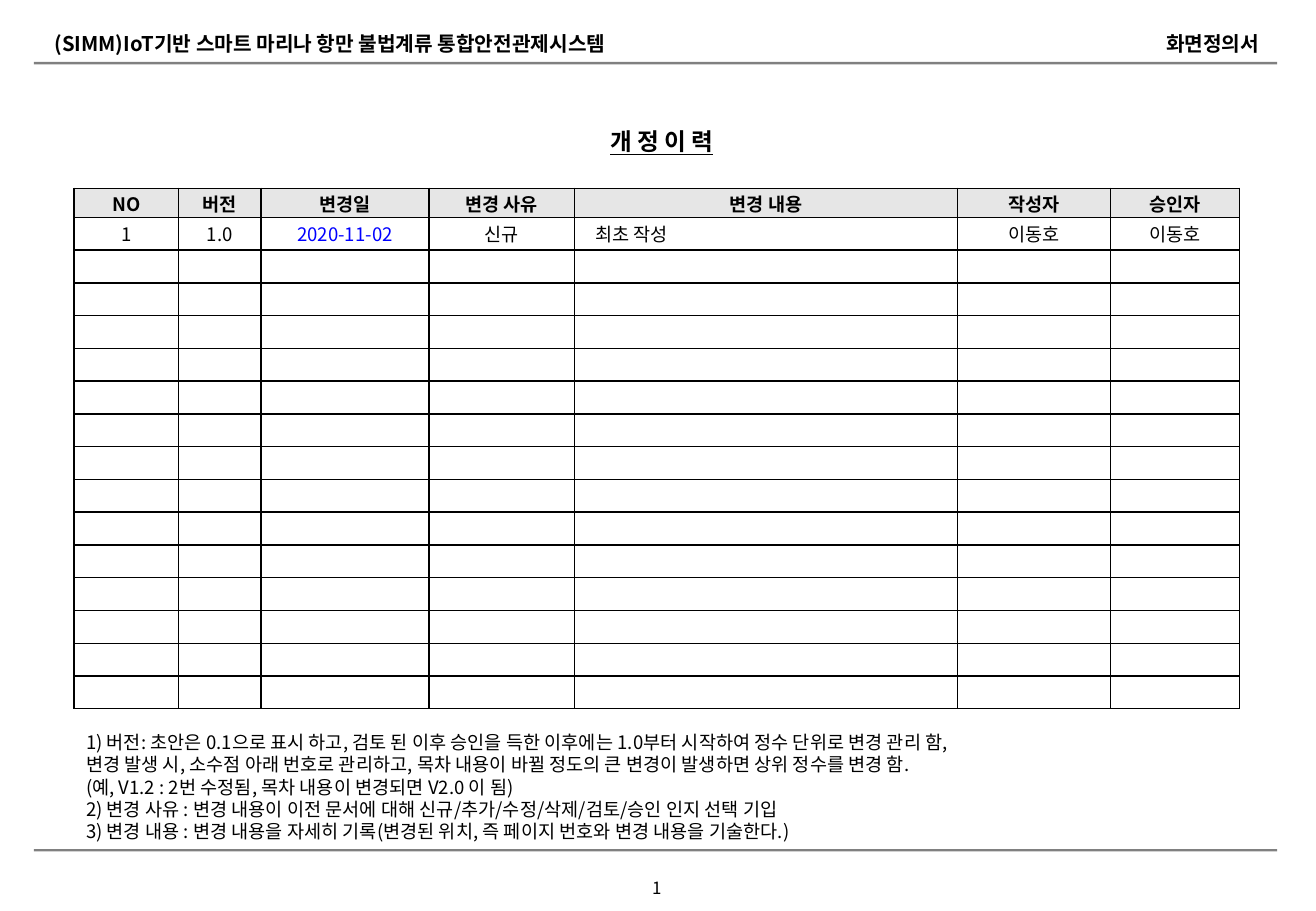
from lxml import etree
from pptx import Presentation
from pptx import util as u
from pptx.dml.color import RGBColor
from pptx.enum import shapes, text
from pptx.oxml.ns import qn

PX = 9144  # 100 px to the inch
THEME = {
    "font": "Noto Sans CJK KR",
    "ink": RGBColor(0x00, 0x00, 0x00),
    "date": RGBColor(0x00, 0x00, 0xFF),
    "rule": RGBColor(0x80, 0x80, 0x80),
    "head": RGBColor(0xE6, 0xE6, 0xE6),
    "title": u.Pt(14), "header": u.Pt(12), "body": u.Pt(11), "page": u.Pt(10),
}
LEFT, CENTER, RIGHT = text.PP_ALIGN.LEFT, text.PP_ALIGN.CENTER, text.PP_ALIGN.RIGHT
MIDDLE, TOP = text.MSO_ANCHOR.MIDDLE, text.MSO_ANCHOR.TOP


def write(paragraph, words, align, size, color=THEME["ink"], **extra):
    paragraph.alignment = align
    run = paragraph.add_run()
    run.text = words
    for name, value in {"name": THEME["font"], "size": size, **extra}.items():
        setattr(run.font, name, value)
    run.font.color.rgb = color
    etree.SubElement(run.font._element, qn("a:ea"), typeface=THEME["font"])


def add_border(cell):
    """Draw a thin solid line on all four sides of a table cell."""
    properties = cell._tc.get_or_add_tcPr()
    for index, side in enumerate(("lnL", "lnR", "lnT", "lnB")):
        line = etree.Element(qn(f"a:{side}"), w=str(u.Pt(1)))
        fill = etree.SubElement(line, qn("a:solidFill"))
        etree.SubElement(fill, qn("a:srgbClr"), val=str(THEME["ink"]))
        properties.insert(index, line)


presentation = Presentation()
presentation.slide_width, presentation.slide_height = 1083 * PX, 750 * PX
slide = presentation.slides.add_slide(presentation.slide_layouts[6])

# Rules under the header and above the footer
for top in (51, 699):
    rule = slide.shapes.add_shape(
        shapes.MSO_SHAPE.RECTANGLE, 28 * PX, top * PX, 1023 * PX, 2 * PX)
    rule.shadow.inherit = False
    rule.fill.solid()
    rule.fill.fore_color.rgb = THEME["rule"]
    rule.line.fill.background()

# Header, title, notes and page number
NOTES = (
    "1) 버전: 초안은 0.1으로 표시 하고, 검토 된 이후 승인을 득한 이후에는 1.0부터 시작하여 정수 단위로 변경 관리 함,",
    "변경 발생 시, 소수점 아래 번호로 관리하고, 목차 내용이 바뀔 정도의 큰 변경이 발생하면 상위 정수를 변경 함.",
    "(예, V1.2 : 2번 수정됨, 목차 내용이 변경되면 V2.0 이 됨)",
    "2) 변경 사유 : 변경 내용이 이전 문서에 대해 신규/추가/수정/삭제/검토/승인 인지 선택 기입",
    "3) 변경 내용 : 변경 내용을 자세히 기록(변경된 위치, 즉 페이지 번호와 변경 내용을 기술한다.)",
)
BOLD = {"bold": True}
TEXTS = (
    ((35, 21, 664, 30), ("(SIMM)IoT기반 스마트 마리나 항만 불법계류 통합안전관제시스템",),
     LEFT, TOP, "header", BOLD),
    ((534, 21, 512, 30), ("화면정의서",), RIGHT, TOP, "header", BOLD),
    ((450, 100, 189, 33), ("개 정 이 력",), CENTER, MIDDLE, "title",
     {"bold": True, "underline": True}),
    ((61, 597, 961, 103), NOTES, LEFT, TOP, "body", {}),
    ((520, 718, 41, 27), ("1",), CENTER, TOP, "page", {}),
)
for box, lines, align, anchor, size, extra in TEXTS:
    frame = slide.shapes.add_textbox(*(length * PX for length in box)).text_frame
    frame.word_wrap = True
    frame.vertical_anchor = anchor
    for index, words in enumerate(lines):
        paragraph = frame.add_paragraph() if index else frame.paragraphs[0]
        write(paragraph, words, align, THEME[size], **extra)

# Revision table
COLUMNS = (86, 68, 138, 120, 315, 126, 106)
ROWS = (24,) + (27,) * 15
ENTRIES = (
    ("NO", "버전", "변경일", "변경 사유", "변경 내용", "작성자", "승인자"),
    ("1", "1.0", "2020-11-02", "신규", "최초 작성", "이동호", "이동호"),
)
DATE, CONTENT = 2, 4
table = slide.shapes.add_table(
    len(ROWS), len(COLUMNS), 61 * PX, 155 * PX, sum(COLUMNS) * PX, sum(ROWS) * PX).table
for column, width in zip(table.columns, COLUMNS):
    column.width = width * PX
for row_index, height in enumerate(ROWS):
    table.rows[row_index].height = height * PX
    for column_index in range(len(COLUMNS)):
        cell = table.cell(row_index, column_index)
        is_head = row_index == 0
        is_content = column_index == CONTENT and not is_head
        margins = {"margin_left": (17 if is_content else 7) * PX, "margin_right": 7 * PX,
                   "margin_top": 0, "margin_bottom": 0, "vertical_anchor": MIDDLE}
        for name, value in margins.items():
            setattr(cell, name, value)
        if is_head:
            cell.fill.solid()
            cell.fill.fore_color.rgb = THEME["head"]
        else:
            cell.fill.background()
        add_border(cell)
        paragraph = cell.text_frame.paragraphs[0]
        if row_index < len(ENTRIES):
            is_date = column_index == DATE and not is_head
            write(paragraph, ENTRIES[row_index][column_index],
                  LEFT if is_content else CENTER, THEME["body"],
                  THEME["date" if is_date else "ink"], bold=is_head)
        else:
            etree.SubElement(paragraph._p, qn("a:endParaRPr"),
                             sz=str(int(THEME["body"].pt * 100)))

presentation.save("out.pptx")
